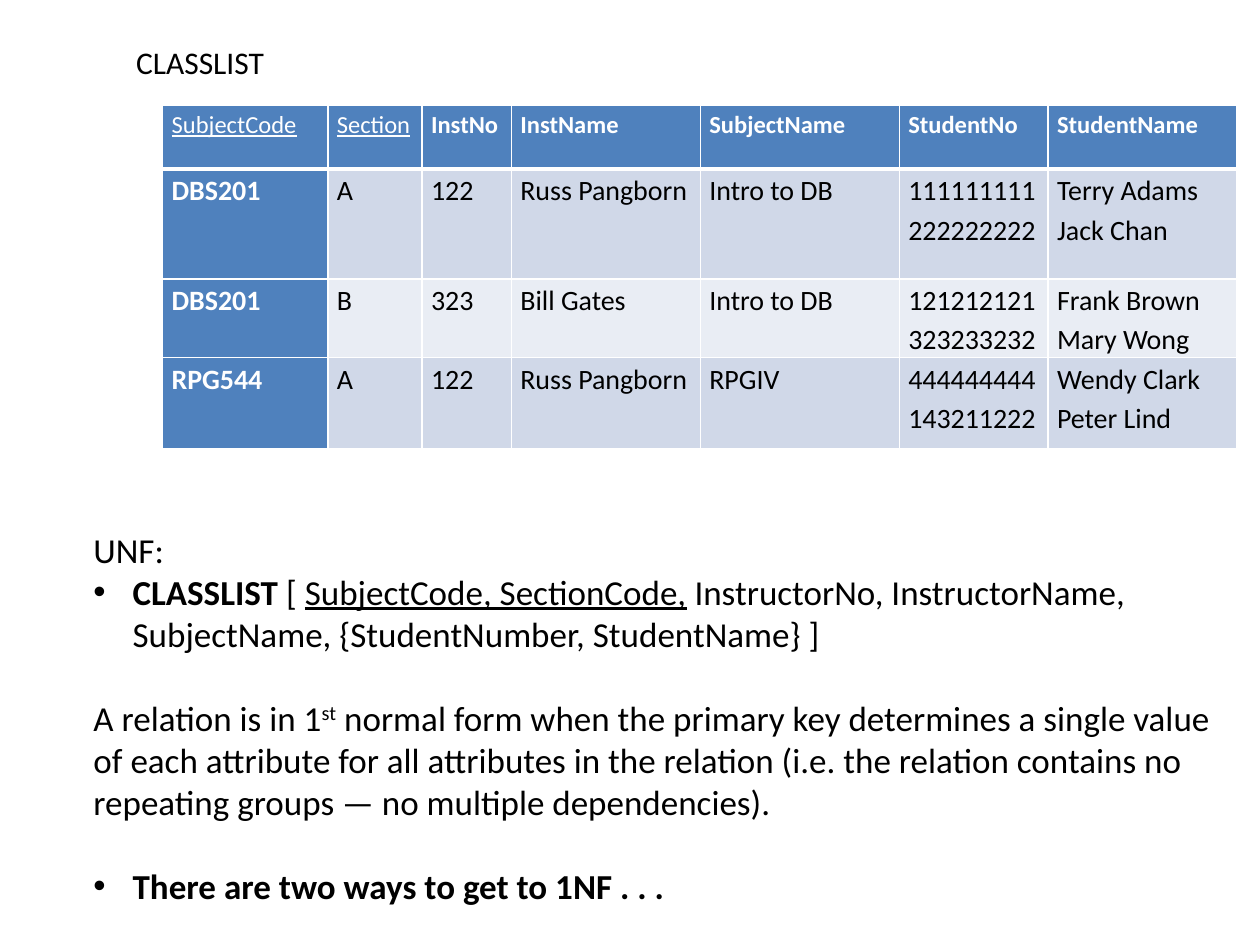
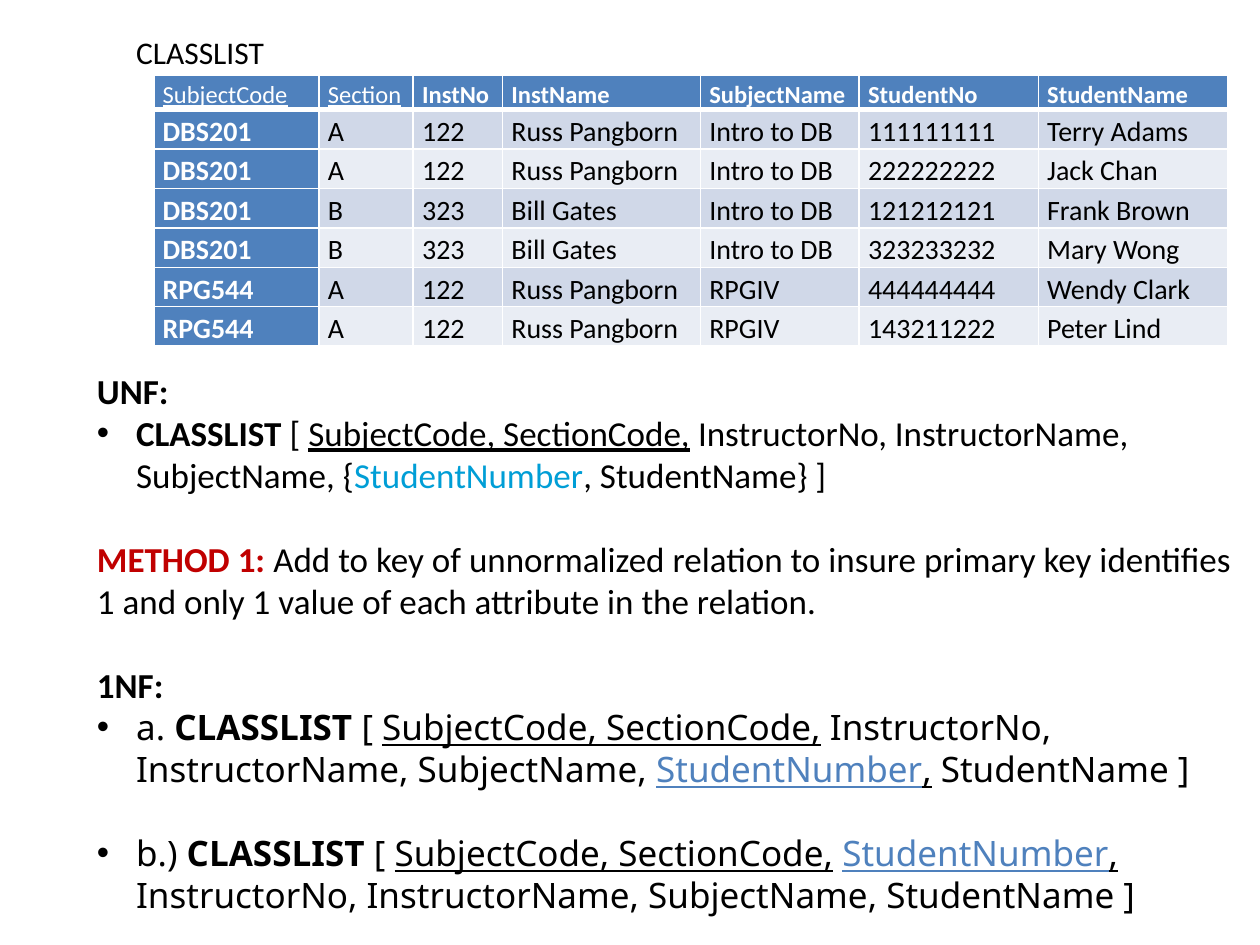
from pptx import Presentation
from pptx.dml.color import RGBColor
from pptx.enum import text
from pptx.oxml import parse_xml
from pptx.oxml.ns import nsdecls
from pptx.util import Cm, Pt

BLACK = RGBColor(0x00, 0x00, 0x00)
WHITE = RGBColor(0xFF, 0xFF, 0xFF)
BLUE = RGBColor(0x4F, 0x81, 0xBD)
BAND_DARK = RGBColor(0xD0, 0xD8, 0xE8)
BAND_LIGHT = RGBColor(0xE9, 0xED, 0xF4)
CYAN = RGBColor(0x00, 0x9E, 0xD6)
RED = RGBColor(0xC0, 0x00, 0x00)

FONT = "Calibri"
KEY_FONT = "Noto Sans"
BODY_LINE = Pt(24)
BULLET_INDENT = Cm(0.79)
CELL_INSET = Cm(0.18)

# Class data: code, section, instructor number and name, subject, students
HEADINGS = ["SubjectCode", "Section", "InstNo", "InstName", "SubjectName",
            "StudentNo", "StudentName"]
KEY_HEADINGS = HEADINGS[:2]
CLASSES = [
    (["DBS201", "A", "122", "Russ Pangborn", "Intro to DB"],
     [("111111111", "Terry Adams"), ("222222222", "Jack Chan")]),
    (["DBS201", "B", "323", "Bill Gates", "Intro to DB"],
     [("121212121", "Frank Brown"), ("323233232", "Mary Wong")]),
    (["RPG544", "A", "122", "Russ Pangborn", "RPGIV"],
     [("444444444", "Wendy Clark"), ("143211222", "Peter Lind")]),
]

# Spans that recur in the relations
BOLD = {"bold": True}
KEY = {"underline": True}
KEY_SPAN = ("SubjectCode, SectionCode,", KEY)
NEW_KEY_SPAN = ("StudentNumber", {"underline": True, "color": BLUE})


def add_span(para, words, size, font=FONT, color=BLACK, bold=False,
             underline=False, raised=False):
    span = para.add_run()
    span.text = words
    span.font.name = font
    span.font.size = Pt(size)
    span.font.bold = bold
    span.font.underline = underline
    span.font.color.rgb = color
    if raised:
        span.font._element.set("baseline", "30000")


def paragraphs(frame, count):
    """Return the frame's first paragraph followed by new ones."""
    return [frame.paragraphs[0]] + [frame.add_paragraph()
                                    for _ in range(count - 1)]


def place(box, left, top, width, height):
    box.left, box.top, box.width, box.height = left, top, width, height


def add_title(page, top):
    box = page.shapes.title
    place(box, Cm(2.49), top, Cm(3.12), Cm(1.02))
    frame = box.text_frame
    frame.word_wrap = False
    frame.auto_size = text.MSO_AUTO_SIZE.NONE
    frame.vertical_anchor = text.MSO_ANCHOR.TOP
    para = frame.paragraphs[0]
    para.alignment = text.PP_ALIGN.LEFT
    add_span(para, "CLASSLIST", 18)


def add_body(page, left, top, height, items):
    """Each item is (bulleted, gap after, spans)."""
    box = page.placeholders[1]
    place(box, left, top, Cm(23.7), height)
    frame = box.text_frame
    frame.auto_size = text.MSO_AUTO_SIZE.NONE
    for para, (bulleted, gap, spans) in zip(paragraphs(frame, len(items)), items):
        para.line_spacing = BODY_LINE
        para.space_before = Pt(0)
        para.space_after = BODY_LINE if gap else Pt(0)
        set_bullet(para, bulleted)
        for words, style in spans:
            add_span(para, words, 20, **style)


def set_bullet(para, bulleted):
    props = para._p.get_or_add_pPr()
    indent = BULLET_INDENT if bulleted else 0
    props.set("marL", str(indent))
    props.set("indent", str(-indent))
    if bulleted:
        props.append(parse_xml(f'<a:buFont {nsdecls("a")} typeface="Arial"/>'))
        props.append(parse_xml(f'<a:buChar {nsdecls("a")} char="•"/>'))
    else:
        props.append(parse_xml(f'<a:buNone {nsdecls("a")}/>'))


def set_borders(cell, top, bottom):
    props = cell._tc.get_or_add_tcPr()
    widths = {"lnL": 1, "lnR": 1, "lnT": top, "lnB": bottom}
    for index, (side, width) in enumerate(widths.items()):
        props.insert(index, parse_xml(
            f'<a:{side} {nsdecls("a")} w="{Pt(width)}"><a:solidFill>'
            f'<a:srgbClr val="{WHITE}"/></a:solidFill></a:{side}>'))


def fill_cell(cell, lines, row, column):
    heading = row == 0
    accented = heading or column == 0
    band = BAND_DARK if row % 2 else BAND_LIGHT
    is_key = heading and lines[0] in KEY_HEADINGS
    cell.fill.solid()
    cell.fill.fore_color.rgb = BLUE if accented else band
    cell.margin_left = cell.margin_right = CELL_INSET
    cell.margin_top = cell.margin_bottom = 0
    set_borders(cell, 3 if row == 1 else 1, 3 if heading else 1)
    for para, line in zip(paragraphs(cell.text_frame, len(lines)), lines):
        para.line_spacing = 1.15
        add_span(para, line, 14 if heading else 16,
                 color=WHITE if accented else BLACK,
                 bold=accented and not is_key, underline=is_key)


def add_class_table(page, left, top, widths, heights, records):
    """Each record is a list of cells, each cell a list of lines."""
    rows = [[[heading] for heading in HEADINGS]] + records
    table = page.shapes.add_table(len(rows), len(HEADINGS), left, top,
                                  Cm(sum(widths)), Cm(sum(heights))).table
    for column, width in zip(table.columns, widths):
        column.width = Cm(width)
    for table_row, height in zip(table.rows, heights):
        table_row.height = Cm(height)
    for row, cells in enumerate(rows):
        for column, lines in enumerate(cells):
            fill_cell(table.cell(row, column), lines, row, column)


def build_unnormalized(page):
    add_title(page, Cm(0.74))
    # One row per class, students stacked in a cell
    records = [[[value] for value in details]
               + [list(column) for column in zip(*students)]
               for details, students in CLASSES]
    add_class_table(page, Cm(3.28), Cm(2.13),
                    [3.33, 1.9, 1.8, 3.81, 4.01, 3, 3.81],
                    [1.28, 2.21, 1.58, 1.83], records)
    add_body(page, Cm(1.63), Cm(10.52), Cm(7.95), [
        (False, False, [("UNF:", {})]),
        (True, True, [
            ("CLASSLIST ", BOLD), ("[ ", {}), KEY_SPAN,
            (" InstructorNo, InstructorName, SubjectName, "
             "{StudentNumber, StudentName} ]", {})]),
        (False, True, [
            ("A relation is in 1", {}), ("st", {"raised": True}),
            (" normal form when the primary key determines a single value of "
             "each attribute for all attributes in the relation (i.e. the "
             "relation contains no repeating groups — no multiple "
             "dependencies).", {})]),
        (True, False, [("There are two ways to get to 1NF . . .", BOLD)]),
    ])


def build_first_method(page):
    add_title(page, Cm(0.53))
    # One row per student
    records = [[[value] for value in [*details, *student]]
               for details, students in CLASSES for student in students]
    add_class_table(page, Cm(3.1), Cm(1.52),
                    [3.33, 1.9, 1.8, 3.99, 3.2, 3.61, 3.81],
                    [0.69] + [0.78] * len(records), records)

    plain, bold = {"font": KEY_FONT}, {"font": KEY_FONT, **BOLD}
    key, new_key = [(words, {**style, **plain})
                    for words, style in (KEY_SPAN, NEW_KEY_SPAN)]
    comma = (",", {**plain, **KEY})
    add_body(page, Cm(1.7), Cm(7.32), Cm(11.3), [
        (False, False, [("UNF:", BOLD)]),
        (True, True, [
            ("CLASSLIST", BOLD), (" [ ", {}), KEY_SPAN,
            (" InstructorNo, InstructorName, SubjectName, {", {}),
            ("StudentNumber", {"color": CYAN}), (", StudentName} ]", {})]),
        (False, True, [
            ("METHOD 1: ", {"color": RED, **BOLD}),
            ("Add to key of unnormalized relation to insure primary key "
             "identifies 1 and only 1 value of each attribute in the "
             "relation.", {})]),
        (False, False, [("1NF:", BOLD)]),
        (True, True, [
            ("a. ", plain), ("CLASSLIST ", bold), ("[ ", plain), key,
            (" InstructorNo, InstructorName, SubjectName, ", plain),
            new_key, comma, (" StudentName ]", plain)]),
        (True, False, [
            ("b.)", plain), (" CLASSLIST ", bold), ("[ ", plain), key,
            (" ", plain), new_key, comma,
            (" InstructorNo, InstructorName, SubjectName, StudentName ]",
             plain)]),
    ])


def main():
    deck = Presentation()
    deck.slide_width, deck.slide_height = Cm(25.4), Cm(19.05)
    for build in (build_unnormalized, build_first_method):
        build(deck.slides.add_slide(deck.slide_layouts[1]))
    deck.save("out.pptx")


if __name__ == "__main__":
    main()
